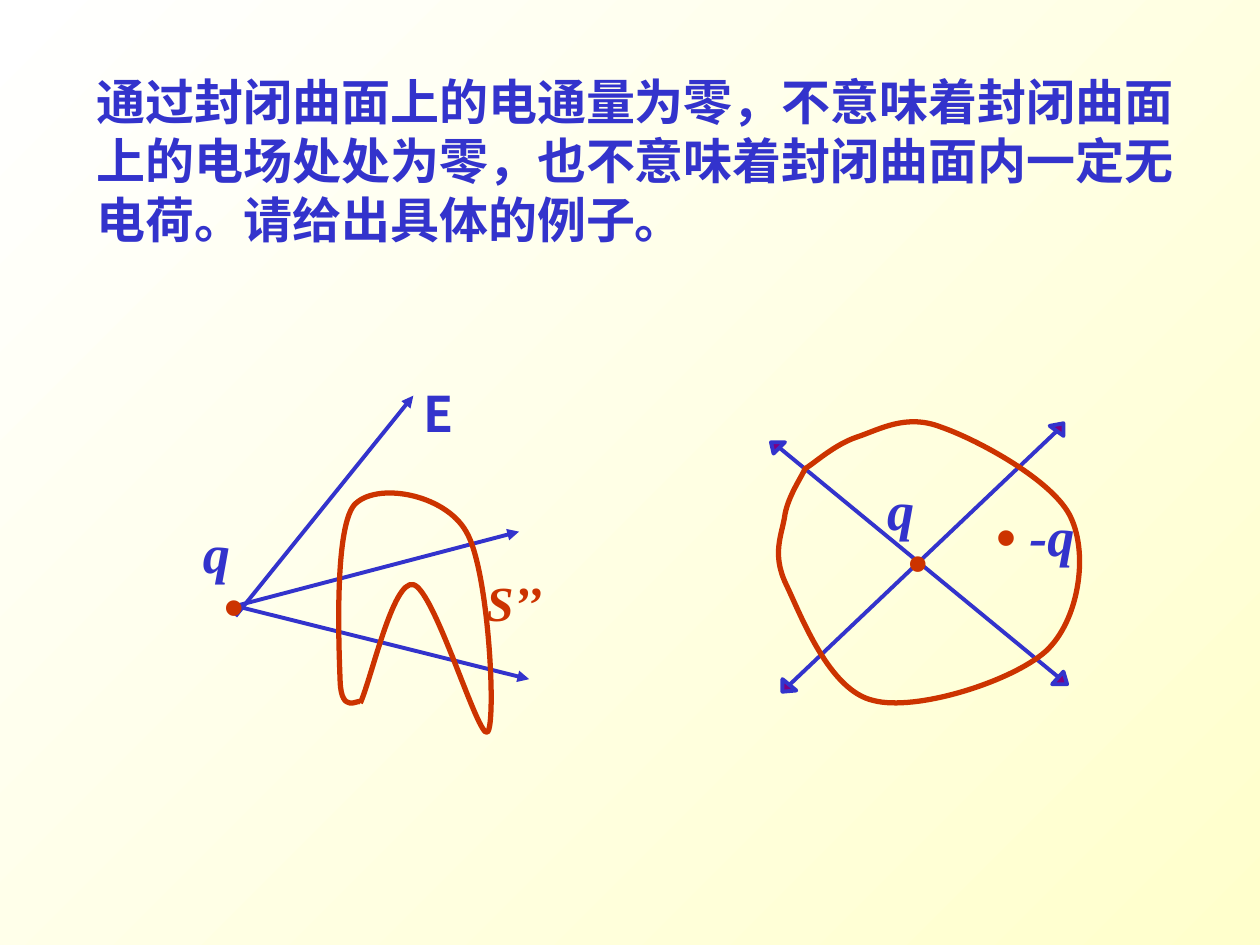
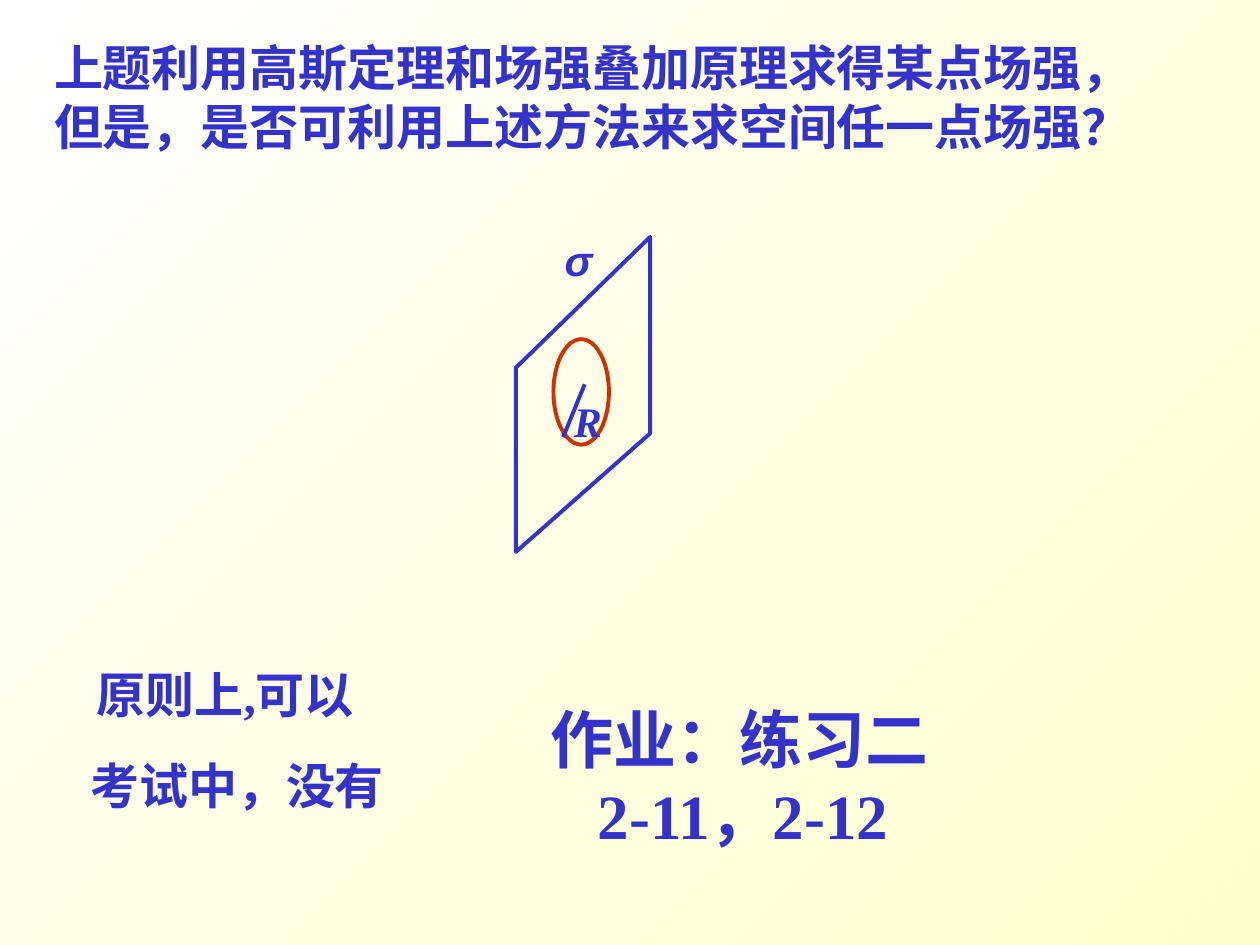
"""Build two slides about electric flux through closed surfaces."""
from dataclasses import dataclass

from lxml import etree
from pptx import Presentation
from pptx.dml.color import RGBColor
from pptx.enum.shapes import MSO_CONNECTOR, MSO_SHAPE
from pptx.oxml.ns import qn
from pptx.shapes.autoshape import Shape
from pptx.slide import Slide
from pptx.util import Pt

STRAIGHT = MSO_CONNECTOR.STRAIGHT
OVAL = MSO_SHAPE.OVAL
BLUE, RED, PURPLE = "3333CC", "CC3300", "800080"
BACKGROUND = ("FFFFFF", "FFFFCC")
SERIF, SANS, CHINESE = "Times New Roman", "Arial", "Noto Sans CJK SC"
THIN, THICK = 2.25, 3

Point = tuple[float, float]


@dataclass(frozen=True)
class TextBox:
    """Text with its frame and font, in points."""
    text: str
    left: float
    top: float
    width: float
    height: float
    size: float = 28
    font: str = SERIF
    color: str = BLUE
    italic: bool = False
    inset: bool = True
    wraps: bool = True
    last_indent: float = 0


@dataclass(frozen=True)
class Segment:
    """A straight line, with an arrowhead at its end if wanted."""
    start: Point
    end: Point
    arrow: bool = False


def symbol(text: str, left: float, top: float, width: float, size: float = 31,
           font: str = SERIF) -> TextBox:
    """Describe a short blue label of a drawing."""
    return TextBox(text, left, top, width, size * 1.2, size, font,
                   italic=True, inset=False, wraps=False)


def charge(left: float, top: float) -> TextBox:
    """Describe the red dot of a point charge."""
    return TextBox("•", left, top, 18, 37.2, 31, SANS, RED, inset=False)


FLUX_STATEMENT = TextBox(
    "通过封闭曲面上的电通量为零，不意味着封闭曲面上的电场处处为零，"
    "也不意味着封闭曲面内一定无电荷。请给出具体的例子。",
    48.2, 37.4, 635, 109.4, font=CHINESE)
FIELD_LINES = (
    Segment((134.6, 352.1), (236.2, 226.1), True),
    Segment((134.6, 346.3), (302.4, 388.1), True),
    Segment((134.6, 346.3), (296.6, 303.8), True),
)
OUTER_CHARGE_LABELS = (
    TextBox("E", 241.9, 218.9, 14.4, 33.8, font=CHINESE, inset=False, wraps=False),
    symbol("q", 115.9, 296.6, 15.8),
    charge(128.2, 326.9),
    TextBox("S’’", 277.9, 326.9, 37.4, 33.8, color=RED, italic=True, inset=False),
)
BENT_SURFACE = (
    (205.9, 401),
    (204.5, 399.6), (195.1, 408.2), (194.4, 389.5),
    (193.7, 371.5), (190.8, 303.1), (202.3, 288.7),
    (214.6, 275), (254.2, 282.2), (266.4, 303.8),
    (279.4, 325.4), (283.7, 413.3), (278.6, 418.3),
    (273.6, 423.4), (248.4, 337), (236.2, 334.1),
    (224.6, 331.2), (212.4, 387.4), (205.9, 401.8),
)
CROSSING_LINES = (
    Segment((450, 392.4), (604.8, 245.5)),
    Segment((444.2, 254.9), (606.2, 388.1)),
)
ARROW_TIPS = (
    ((447.1, 388.1), (447.1, 395.3), (455, 394.6)),
    ((607.7, 249.1), (607.7, 241.9), (599.8, 243.4)),
    ((448.6, 252.7), (440.6, 252.7), (442.1, 259.2)),
    ((601.2, 391), (609.8, 391), (607.7, 383.8)),
)
ROUND_SURFACE = (
    (460.1, 267.8),
    (465.1, 265), (476.6, 254.2), (489.6, 249.8),
    (502.6, 245.5), (517.7, 236.2), (537.8, 244.1),
    (558.7, 251.3), (602.6, 275), (612, 295.9),
    (622.1, 317.5), (616.3, 355), (597.6, 372.2),
    (578.2, 389.5), (523.4, 406.8), (499, 400.3),
    (473.8, 394.6), (457.9, 352.1), (449.3, 334.1),
    (440.6, 316.1), (447.1, 305.3), (448.6, 293.8),
    (450.7, 283), (457.9, 272.9), (460.1, 267.8),
)
INNER_CHARGE_LABELS = (
    charge(519.1, 302),
    symbol("q", 506.9, 272.2, 15.8),
    charge(569.5, 287),
    symbol("-q", 588.2, 287, 25.9),
)
QUESTION_TEXTS = (
    TextBox("上题利用高斯定理和场强叠加原理求得某点场强，"
            "但是，是否可利用上述方法来求空间任一点场强？", 23.8, 18, 653.8, 74.9),
    TextBox("原则上,可以", 48.2, 376.3, 653.8, 41),
    TextBox("考试中，没有", 44.6, 428.4, 185, 41),
)
PLANE = ((371.5, 135.4), (294.8, 210.2), (294.8, 315.4), (371.5, 247.7))
HOLE = (316.3, 193.8, 31.7, 60.3)
PLANE_LABELS = (
    symbol("σ", 322.6, 133.9, 14.4, 24, SANS),
    symbol("R", 328, 226.1, 15.8, 24),
)
RADIUS = Segment((334.1, 219.6), (321.8, 249.8))
HOMEWORK = TextBox("作业：练习二\n2-11，2-12", 307.4, 396.7, 246.2, 94.3, 36,
                   last_indent=27)


def rgb(color: str) -> RGBColor:
    """Turn a hex string into a colour."""
    return RGBColor.from_string(color)


def style_line(shape, color: str, width: float) -> None:
    """Set the line colour and width of a shape or connector."""
    shape.line.color.rgb = rgb(color)
    shape.line.width = Pt(width)


def style_outline(shape: Shape, color: str, width: float,
                  fill: str | None = None) -> None:
    """Style an outlined shape, hollow unless a fill is given."""
    shape.shadow.inherit = False
    style_line(shape, color, width)
    if fill:
        shape.fill.solid()
        shape.fill.fore_color.rgb = rgb(fill)
    else:
        shape.fill.background()


def add_text(slide: Slide, box: TextBox) -> None:
    """Add one text box."""
    shape = slide.shapes.add_textbox(
        Pt(box.left), Pt(box.top), Pt(box.width), Pt(box.height))
    text_frame = shape.text_frame
    text_frame.word_wrap = box.wraps
    if not box.inset:
        text_frame.margin_left = text_frame.margin_right = 0
        text_frame.margin_top = text_frame.margin_bottom = 0
    text_frame.text = box.text
    for paragraph in text_frame.paragraphs:
        for run in paragraph.runs:
            run.font.size = Pt(box.size)
            run.font.bold = True
            run.font.italic = box.italic
            run.font.name = box.font
            run.font.color.rgb = rgb(box.color)
            properties = run._r.get_or_add_rPr()
            etree.SubElement(properties, qn("a:ea")).set("typeface", CHINESE)
    if box.last_indent:
        properties = text_frame.paragraphs[-1]._p.get_or_add_pPr()
        properties.set("marL", str(int(Pt(box.last_indent))))


def add_segment(slide: Slide, segment: Segment) -> None:
    """Add one straight blue line."""
    connector = slide.shapes.add_connector(
        STRAIGHT, *(Pt(value) for value in segment.start + segment.end))
    style_line(connector, BLUE, THIN)
    if segment.arrow:
        line = connector.line._get_or_add_ln()
        etree.SubElement(line, qn("a:tailEnd")).set("type", "triangle")
    etree.SubElement(connector._element.spPr, qn("a:effectLst"))


def add_outline(slide: Slide, points: tuple[Point, ...], color: str, width: float,
                fill: str | None = None, closed: bool = True) -> Shape:
    """Add a freeform through the points."""
    vertices = [(Pt(x), Pt(y)) for x, y in points]
    builder = slide.shapes.build_freeform(*vertices[0])
    builder.add_line_segments(vertices[1:], close=closed)
    shape = builder.convert_to_shape()
    style_outline(shape, color, width, fill)
    return shape


def add_surface(slide: Slide, points: tuple[Point, ...]) -> None:
    """Add a red Gaussian surface, turning each three points into a cubic curve."""
    shape = add_outline(slide, points, RED, THICK, closed=False)
    lines = list(shape._element.iter(qn("a:lnTo")))
    for first, second, end in zip(lines[::3], lines[1::3], lines[2::3]):
        curve = etree.Element(qn("a:cubicBezTo"))
        first.addprevious(curve)
        for line in (first, second, end):
            curve.append(line[0])
            line.getparent().remove(line)


def add_texts(slide: Slide, boxes: tuple[TextBox, ...]) -> None:
    """Add several text boxes."""
    for box in boxes:
        add_text(slide, box)


def add_segments(slide: Slide, segments: tuple[Segment, ...]) -> None:
    """Add several straight lines."""
    for segment in segments:
        add_segment(slide, segment)


def build_flux_slide(slide: Slide) -> None:
    """Draw charges outside and inside a closed surface."""
    add_text(slide, FLUX_STATEMENT)
    add_segments(slide, FIELD_LINES)
    add_surface(slide, BENT_SURFACE)
    add_texts(slide, OUTER_CHARGE_LABELS)
    add_segments(slide, CROSSING_LINES)
    for tip in ARROW_TIPS:
        add_outline(slide, tip, BLUE, THIN, PURPLE)
    add_surface(slide, ROUND_SURFACE)
    add_texts(slide, INNER_CHARGE_LABELS)


def build_question_slide(slide: Slide) -> None:
    """Draw the charged plane with a hole, and the homework."""
    add_texts(slide, QUESTION_TEXTS)
    add_outline(slide, PLANE, BLUE, THIN)
    hole = slide.shapes.add_shape(OVAL, *(Pt(value) for value in HOLE))
    style_outline(hole, RED, THIN)
    add_texts(slide, PLANE_LABELS)
    add_segment(slide, RADIUS)
    add_text(slide, HOMEWORK)


def main() -> None:
    """Build and save the presentation."""
    presentation = Presentation()
    presentation.slide_width, presentation.slide_height = Pt(720), Pt(540)
    fill = presentation.slide_master.background.fill
    fill.gradient()
    fill.gradient_angle = 315
    for stop, color in zip(fill.gradient_stops, BACKGROUND):
        stop.color.rgb = rgb(color)
    blank = presentation.slide_layouts[6]
    for build in (build_flux_slide, build_question_slide):
        build(presentation.slides.add_slide(blank))
    presentation.save("out.pptx")


if __name__ == "__main__":
    main()
